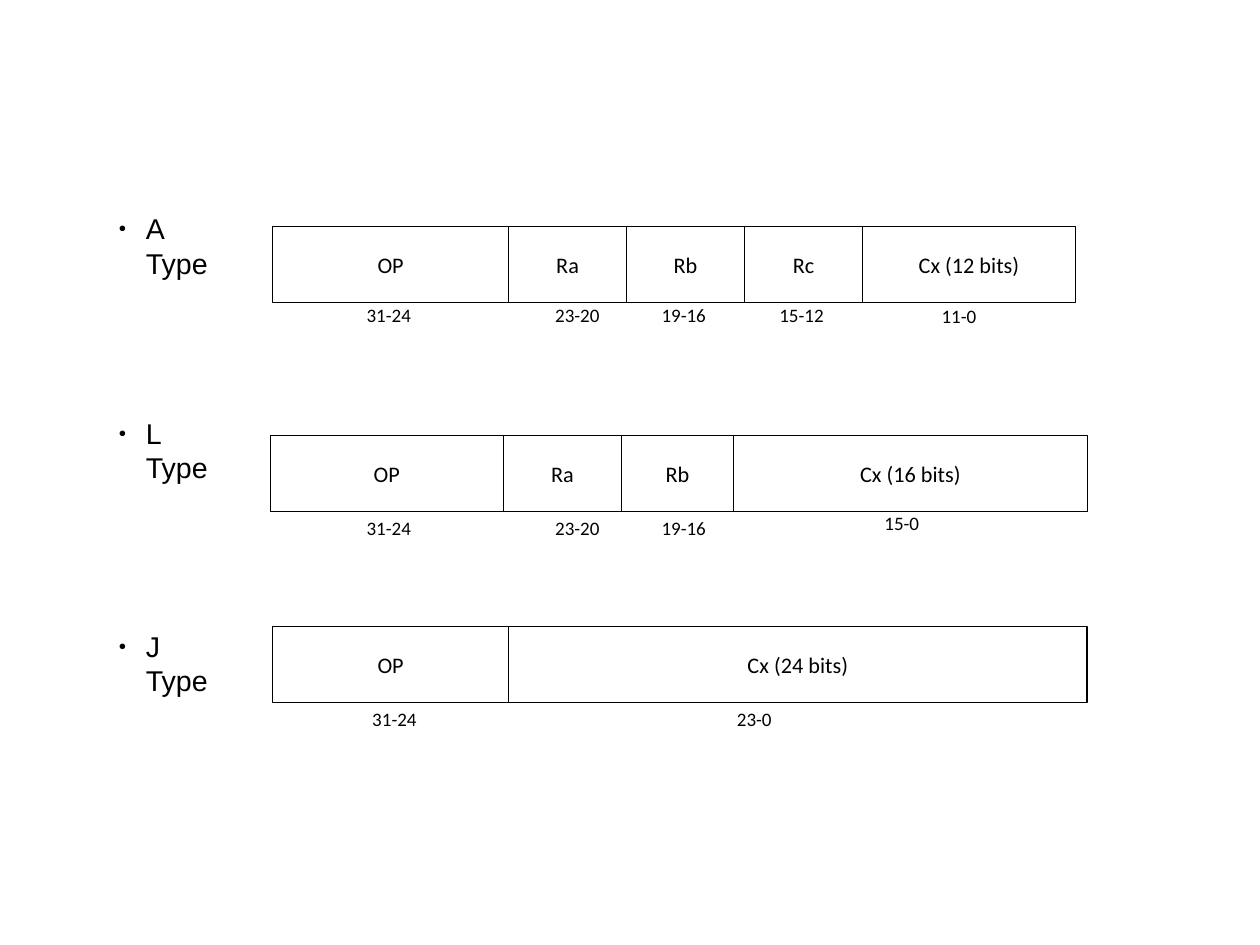
from dataclasses import dataclass
from pptx import Presentation as Deck
from pptx.dml.color import RGBColor as Color
from pptx.enum.shapes import MSO_SHAPE as Shape
from pptx.enum.text import MSO_ANCHOR as Anchor, PP_ALIGN as Align
from pptx.oxml import parse_xml
from pptx.oxml.ns import nsdecls
from pptx.util import Pt


@dataclass(frozen=True)
class Theme:
    """Colours, fonts and type sizes."""
    ink: str = "000000"
    head: str = "Arial"
    body: str = "Calibri"
    title: float = 18
    cell: float = 14
    range: float = 12
    line: float = 0.75


THEME = Theme()
TALL = 48
ROWS = [
    ("A Type", 67.7, 129.6, 171.8, 142.5, [
        ("OP", 0, 148.6, "31-24", 52, 45.4),
        ("Ra", 148.6, 74.3, "23-20", 170.8, 45.4),
        ("Rb", 222.9, 74.3, "19-16", 237.8, 45.4),
        ("Rc", 297.2, 74.3, "15-12", 312, 45.4),
        ("Cx (12 bits)", 371.5, 134.3, "11-0", 414.2, 46)]),
    ("L Type", 67.7, 258.5, 170.2, 274.1, [
        ("OP", 0, 147, "31-24", 53.6, TALL),
        ("Ra", 147, 74.3, "23-20", 172.4, TALL),
        ("Rb", 221.3, 70.5, "19-16", 239.4, TALL),
        ("Cx (16 bits)", 291.8, 223, "15-0", 379.8, 44.6)]),
    ("J Type", 67.7, 392.4, 171.8, 394.4, [
        ("OP", 0, 148.6, "31-24", 55.6, TALL),
        ("Cx (24 bits)", 148.6, 364.4, "23-0", 285.3, TALL)]),
]


def apply(item, form):
    """Set each format value on an item."""
    for name, value in form.items():
        setattr(item, name, value)


def write(shape, text, font, size, frame, para):
    """Put one styled paragraph in a shape."""
    apply(shape.text_frame, frame)
    line = shape.text_frame.paragraphs[0]
    apply(line, para)
    run = line.add_run()
    run.text = text
    apply(run.font, {"name": font, "size": Pt(size)})
    run.font.color.rgb = Color.from_string(THEME.ink)
    return line


def label(slide, text, x, y):
    """Draw a bulleted type name with a hanging indent."""
    box = slide.shapes.add_textbox(Pt(x), Pt(y), Pt(73.5), Pt(28.8))
    line = write(box, text, THEME.head, THEME.title,
                 {"word_wrap": True}, {"alignment": Align.LEFT})
    props = line._p.get_or_add_pPr()
    props.set("marL", str(Pt(17.1)))
    props.set("indent", str(Pt(-17.1)))
    space = nsdecls("a")
    for part in (f'<a:buClr {space}><a:srgbClr val="{THEME.ink}"/></a:buClr>',
                 f'<a:buSzPct {space} val="45000"/>',
                 f'<a:buFont {space} typeface="{THEME.head}"/>',
                 f'<a:buChar {space} char="●"/>'):
        props.append(parse_xml(part))


def field(slide, text, x, y, wide):
    """Draw one outlined field of an instruction word."""
    box = slide.shapes.add_shape(Shape.RECTANGLE, Pt(x), Pt(y), Pt(wide), Pt(TALL))
    box.shadow.inherit = False
    box.fill.background()
    box.line.color.rgb = Color.from_string(THEME.ink)
    box.line.width = Pt(THEME.line)
    write(box, text, THEME.body, THEME.cell,
          {"word_wrap": False, "vertical_anchor": Anchor.MIDDLE},
          {"alignment": Align.CENTER})


def span(slide, text, x, y):
    """Draw the bit range below a field."""
    box = slide.shapes.add_textbox(Pt(x), Pt(y), Pt(42.5), Pt(21.6))
    write(box, text, THEME.body, THEME.range,
          {"word_wrap": False}, {"alignment": Align.LEFT})


def layout(slide, left, top, fields):
    """Draw the fields and bit ranges of one instruction word."""
    for text, x, wide, bits, dx, dy in fields:
        field(slide, text, left + x, top, wide)
        span(slide, bits, left + dx, top + dy)


def main():
    """Build and save the slide."""
    deck = Deck()
    apply(deck, {"slide_width": Pt(793.7), "slide_height": Pt(595.28)})
    slide = deck.slides.add_slide(deck.slide_layouts[6])
    for name, x, y, left, top, fields in ROWS:
        label(slide, name, x, y)
        layout(slide, left, top, fields)
    deck.save("out.pptx")


if __name__ == "__main__":
    main()
